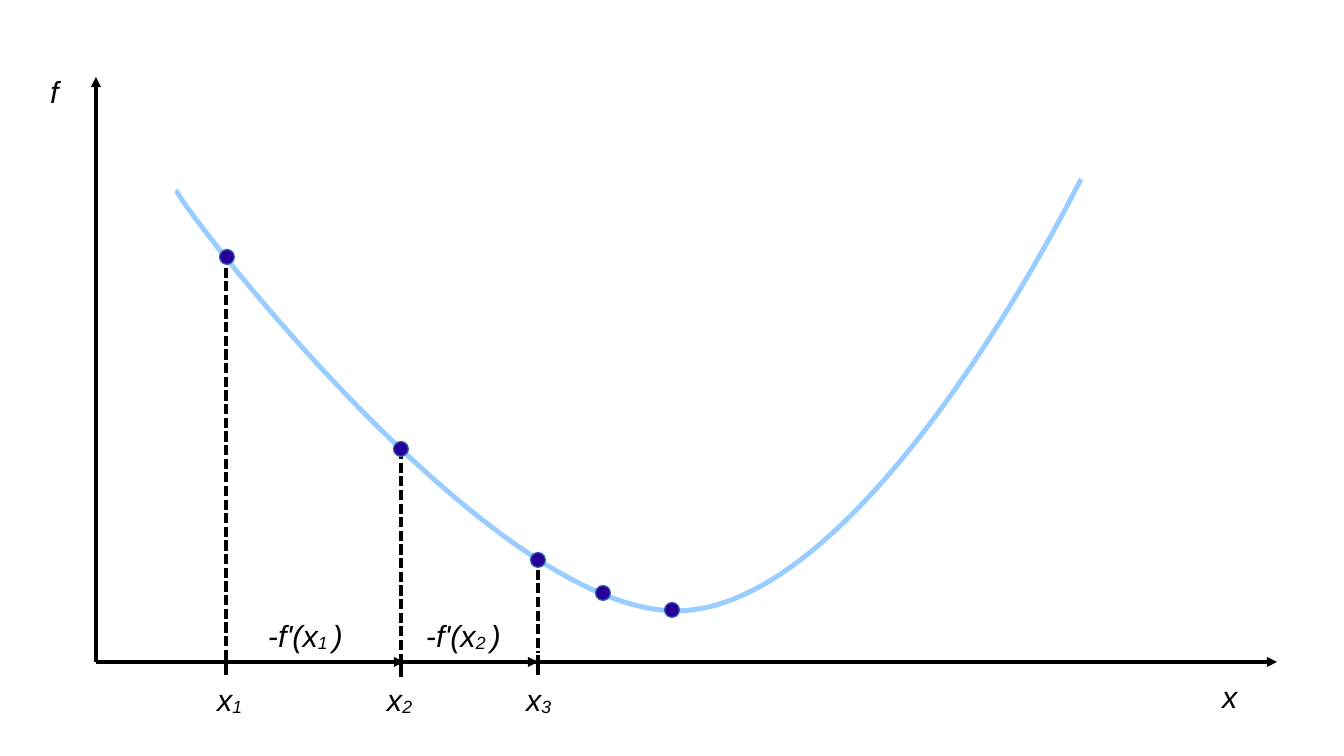
from dataclasses import dataclass

from lxml.etree import SubElement
from pptx import Presentation
from pptx.dml.color import RGBColor
from pptx.enum.dml import MSO_LINE
from pptx.enum.shapes import MSO_CONNECTOR, MSO_SHAPE
from pptx.oxml.ns import qn
from pptx.shapes.connector import Connector
from pptx.shapes.shapetree import SlideShapes
from pptx.util import Emu, Pt

EMU_PER_PX = 7495  # 122 px to the inch
BLACK = RGBColor(0x00, 0x00, 0x00)
CURVE_BLUE = RGBColor(0x99, 0xCC, 0xFF)
DOT_FILL = RGBColor(0x28, 0x00, 0x99)
DOT_EDGE = RGBColor(0x34, 0x65, 0xAF)

HAIRLINE, ARROW_WIDTH, TICK_WIDTH, CURVE_WIDTH = 0, 1.42, 2.83, 2.89
AXIS_LEFT, AXIS_RIGHT, AXIS_TOP, AXIS_Y = 96, 1277, 77, 662
TICK_TOP, TICK_BOTTOM = 655, 675
DOT_SIZE = 15
CURVE_STEPS = 60

Point = tuple[float, float]


@dataclass(frozen=True)
class Iterate:
    """A descent step: its place on the x axis, dashed drop line and label."""
    x: int
    drop_top: int
    drop_bottom: int
    label_left: int


@dataclass(frozen=True)
class Label:
    left: int
    top: int
    width: int
    height: int
    text: str
    subscript: str = ""
    ending: str = ""


ITERATES = [
    Iterate(226, 254, 662, 205),
    Iterate(401, 449, 680, 375),
    Iterate(538, 556, 653, 514),
]
STEP_ARROWS = [(226, 404), (404, 538)]
DOT_CENTERS = [(227, 257), (401, 449), (538, 560), (603, 593), (672, 610)]
CURVE_BEZIERS = [
    ((178, 192), (160, 178), (481, 609), (675, 611)),
    ((675, 611), (869, 612), (1081, 179), (1081, 179)),
]
LABELS = [
    Label(1210, 672, 87, 46, "x"),
    Label(38, 67, 87, 46, "f"),
    Label(256, 611, 163, 56, "-f'(x", "1 ", ")"),
    Label(414, 611, 163, 56, "-f'(x", "2 ", ")"),
] + [
    Label(iterate.label_left, 675, 77, 56, "x", str(number))
    for number, iterate in enumerate(ITERATES, start=1)
]


def px(length: float) -> Emu:
    return Emu(round(length * EMU_PER_PX))


def bezier_point(controls: tuple[Point, ...], t: float) -> Point:
    weights = ((1 - t) ** 3, 3 * t * (1 - t) ** 2, 3 * t**2 * (1 - t), t**3)
    x, y = (sum(w * c[axis] for w, c in zip(weights, controls)) for axis in (0, 1))
    return px(x), px(y)


def add_curve(shapes: SlideShapes) -> None:
    points = [
        bezier_point(controls, step / CURVE_STEPS)
        for controls in CURVE_BEZIERS
        for step in range(1, CURVE_STEPS + 1)
    ]
    start_x, start_y = bezier_point(CURVE_BEZIERS[0], 0)
    builder = shapes.build_freeform(start_x, start_y)
    builder.add_line_segments(points, close=False)
    curve = builder.convert_to_shape()
    curve.shadow.inherit = False
    curve.fill.background()
    curve.line.color.rgb = CURVE_BLUE
    curve.line.width = Pt(CURVE_WIDTH)


def add_line(shapes: SlideShapes, start: Point, end: Point, width: float,
             arrow: bool = False) -> Connector:
    line = shapes.add_connector(MSO_CONNECTOR.STRAIGHT, *map(px, start + end))
    line.line.color.rgb = BLACK
    line.line.width = Pt(width)
    if arrow:
        SubElement(line.line._get_or_add_ln(), qn("a:tailEnd"), type="triangle")
    SubElement(line._element.spPr, qn("a:effectLst"))
    return line


def add_dot(shapes: SlideShapes, center: Point) -> None:
    left, top = (px(position - DOT_SIZE / 2) for position in center)
    dot = shapes.add_shape(MSO_SHAPE.OVAL, left, top, px(DOT_SIZE), px(DOT_SIZE))
    dot.shadow.inherit = False
    dot.fill.solid()
    dot.fill.fore_color.rgb = DOT_FILL
    dot.line.color.rgb = DOT_EDGE
    dot.line.width = Pt(HAIRLINE)


def add_label(shapes: SlideShapes, label: Label) -> None:
    box = shapes.add_textbox(*map(px, (label.left, label.top, label.width, label.height)))
    box.text_frame.word_wrap = True
    para = box.text_frame.paragraphs[0]
    para.font.name = "Arial"
    para.font.size = Pt(18)
    para.font.italic = True
    para.font.color.rgb = BLACK
    for text in filter(None, (label.text, label.subscript, label.ending)):
        span = para.add_run()
        span.text = text
        if text == label.subscript:
            span._r.get_or_add_rPr().set("baseline", "-8000")


def main() -> None:
    deck = Presentation()
    deck.slide_width, deck.slide_height = px(1344), px(756)
    page = deck.slides.add_slide(deck.slide_layouts[6])
    shapes = page.shapes

    add_curve(shapes)
    origin = (AXIS_LEFT, AXIS_Y)
    for axis_end in ((AXIS_RIGHT, AXIS_Y), (AXIS_LEFT, AXIS_TOP)):
        add_line(shapes, origin, axis_end, HAIRLINE, arrow=True)
    for iterate in ITERATES:
        drop = add_line(shapes, (iterate.x, iterate.drop_top),
                        (iterate.x, iterate.drop_bottom), HAIRLINE)
        drop.line.dash_style = MSO_LINE.SQUARE_DOT
        add_line(shapes, (iterate.x, TICK_TOP), (iterate.x, TICK_BOTTOM), TICK_WIDTH)
    for start, end in STEP_ARROWS:
        add_line(shapes, (start, AXIS_Y), (end, AXIS_Y), ARROW_WIDTH, arrow=True)
    for center in DOT_CENTERS:
        add_dot(shapes, center)
    for label in LABELS:
        add_label(shapes, label)

    deck.save("out.pptx")


if __name__ == "__main__":
    main()
